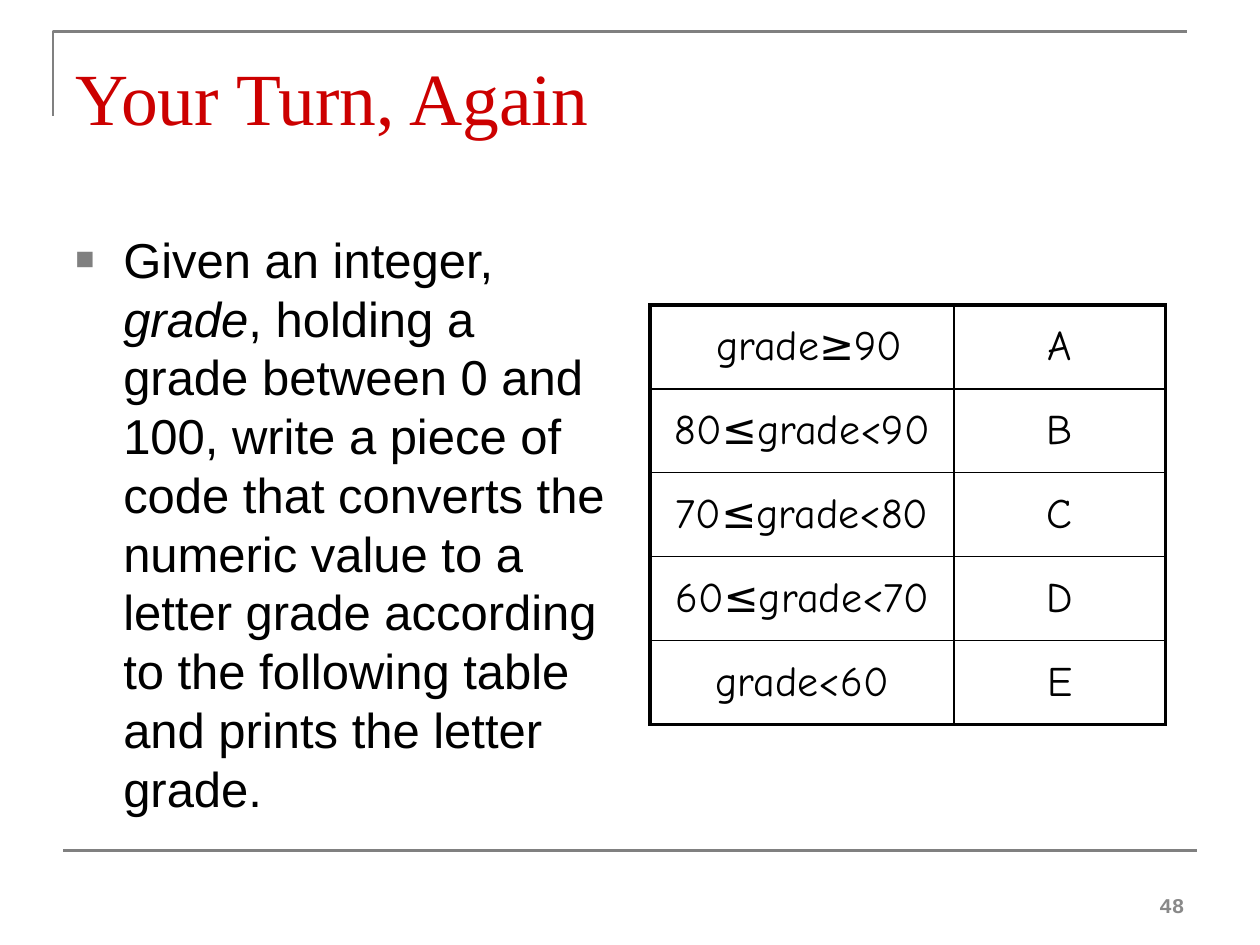
from typing import NamedTuple

from lxml import etree
from pptx import Presentation
from pptx.dml.color import RGBColor
from pptx.enum.shapes import MSO_CONNECTOR
from pptx.enum.text import MSO_ANCHOR, PP_ALIGN
from pptx.oxml.ns import qn
from pptx.util import Inches, Pt

STRAIGHT = MSO_CONNECTOR.STRAIGHT
TOP, MIDDLE, BOTTOM = MSO_ANCHOR.TOP, MSO_ANCHOR.MIDDLE, MSO_ANCHOR.BOTTOM
LEFT, CENTER, RIGHT = PP_ALIGN.LEFT, PP_ALIGN.CENTER, PP_ALIGN.RIGHT
WIDTH, HEIGHT = Inches(10), Inches(7.5)
BLACK, GRAY, RED, PAGE_GRAY = "000000", "808080", "CC0000", "898989"
RULE_WEIGHT, OUTER, INNER = 1.5, 2.25, 1


class Area(NamedTuple):
    """Left, top, width and height in inches."""
    left: float
    top: float
    width: float
    height: float

    def lengths(self) -> list:
        return [Inches(value) for value in self]


class Run(NamedTuple):
    """A stretch of text, upright or italic."""
    text: str
    italic: bool = False


class Grade(NamedTuple):
    """A score range and its letter."""
    score: str
    letter: str


TITLE_AREA = Area(0.5, 0.3, 9, 1.25)
TASK_AREA = Area(0.5, 1.75, 4.42, 4.95)
TABLE_AREA = Area(5.16, 2.42, 4.09, 3.33)
PAGE_AREA = Area(7.17, 6.83, 2.33, 0.5)
SCORE_SHARE = 0.59

TASK = [
    Run("Given an integer, "),
    Run("grade", italic=True),
    Run(", holding a grade between 0 and 100, write a piece of code that converts "
        "the numeric value to a letter grade according to the following table "
        "and prints the letter grade."),
]
GRADES = [
    Grade(" grade≥90", "A"),
    Grade("80≤grade<90", "B"),
    Grade("70≤grade<80", "C"),
    Grade("60≤grade<70", "D"),
    Grade("grade<60", "E"),
]


def color(value: str) -> RGBColor:
    """Turn a hex string into a colour."""
    return RGBColor.from_string(value)


def add_bullet(paragraph) -> None:
    """Give a paragraph a small gray square bullet with a hanging indent."""
    properties = paragraph._p.get_or_add_pPr()
    properties.set("marL", str(Inches(0.38)))
    properties.set("indent", str(-Inches(0.38)))
    bullet_color = etree.SubElement(properties, qn("a:buClr"))
    etree.SubElement(bullet_color, qn("a:srgbClr"), val=GRAY)
    etree.SubElement(properties, qn("a:buSzPct"), val="65000")
    etree.SubElement(properties, qn("a:buFont"), typeface="Arial")
    etree.SubElement(properties, qn("a:buChar"), char="■")


def write(frame, runs: list[Run], *, size: float, font: str, ink: str = BLACK,
          align=LEFT, bold: bool = False, bullet: bool = False, pitch=None) -> None:
    """Write formatted runs into the first paragraph of a text frame."""
    frame.word_wrap = True
    paragraph = frame.paragraphs[0]
    if bullet:
        add_bullet(paragraph)
    paragraph.alignment = align
    if pitch:
        paragraph.line_spacing = Pt(pitch)
    for part in runs:
        run = paragraph.add_run()
        run.text = part.text
        run.font.size, run.font.name = Pt(size), font
        run.font.bold, run.font.italic = bold, part.italic
        run.font.color.rgb = color(ink)


def add_text(slide, area: Area, runs: list[Run], *, anchor=TOP,
             inset: float = 0.05, **text_format) -> None:
    """Add a text box with a chosen anchor and top inset."""
    frame = slide.shapes.add_textbox(*area.lengths()).text_frame
    frame.vertical_anchor = anchor
    frame.margin_top = Inches(inset)
    write(frame, runs, **text_format)


def style_rule(shape) -> None:
    """Give a line the gray of the frame."""
    shape.line.color.rgb = color(GRAY)
    shape.line.width = Pt(RULE_WEIGHT)


def add_frame(slide) -> None:
    """Draw the corner above the title and the rule above the footer."""
    left, top, right, low = (Inches(value) for value in (0.42, 0.25, 9.42, 0.92))
    builder = slide.shapes.build_freeform(left, low)
    builder.add_line_segments([(left, top), (right, top)], close=False)
    corner = builder.convert_to_shape()
    corner.fill.background()
    corner.shadow.inherit = False
    style_rule(corner)
    footer_rule = slide.shapes.add_connector(
        STRAIGHT, int(WIDTH * 0.05), int(HEIGHT * 0.9),
        int(WIDTH * 0.95), int(HEIGHT * 0.9))
    style_rule(footer_rule)
    etree.SubElement(footer_rule._element.spPr, qn("a:effectLst"))


def add_borders(cell, weights: dict[str, float]) -> None:
    """Draw the sides of a cell, each with its own weight in points."""
    properties = cell._tc.get_or_add_tcPr()
    for position, (side, weight) in enumerate(weights.items()):
        line = etree.Element(qn(f"a:{side}"), w=str(Pt(weight)))
        fill = etree.SubElement(line, qn("a:solidFill"))
        etree.SubElement(fill, qn("a:srgbClr"), val=BLACK)
        properties.insert(position, line)


def add_grades(slide) -> None:
    """Add the grade table with a heavy outline and thin inner lines."""
    last_row, last_column = len(GRADES) - 1, len(Grade._fields) - 1
    table = slide.shapes.add_table(
        last_row + 1, last_column + 1, *TABLE_AREA.lengths()).table
    table.first_row = table.horz_banding = False
    for column, share in zip(table.columns, (SCORE_SHARE, 1 - SCORE_SHARE)):
        column.width = Inches(TABLE_AREA.width * share)
    for row, grade in enumerate(GRADES):
        for column, text in enumerate(grade):
            cell = table.cell(row, column)
            cell.fill.background()
            cell.vertical_anchor = MIDDLE
            write(cell.text_frame, [Run(text)], size=24, font="Comic Neue", align=CENTER)
            edges = {"lnL": column == 0, "lnR": column == last_column,
                     "lnT": row == 0, "lnB": row == last_row}
            add_borders(cell, {side: OUTER if outside else INNER
                               for side, outside in edges.items()})


def main() -> None:
    """Build and save the slide."""
    deck = Presentation()
    deck.slide_width, deck.slide_height = WIDTH, HEIGHT
    slide = deck.slides.add_slide(deck.slide_layouts[6])
    add_frame(slide)
    add_text(slide, TITLE_AREA, [Run("Your Turn, Again")], inset=0.11,
             size=42, font="Times New Roman", ink=RED)
    add_text(slide, TASK_AREA, TASK, inset=0.07,
             size=28, font="Arial", bullet=True, pitch=33.6)
    add_grades(slide)
    add_text(slide, PAGE_AREA, [Run("48")], anchor=BOTTOM, size=12,
             font="Courier New", ink=PAGE_GRAY, align=RIGHT, bold=True)
    deck.save("out.pptx")


if __name__ == "__main__":
    main()
